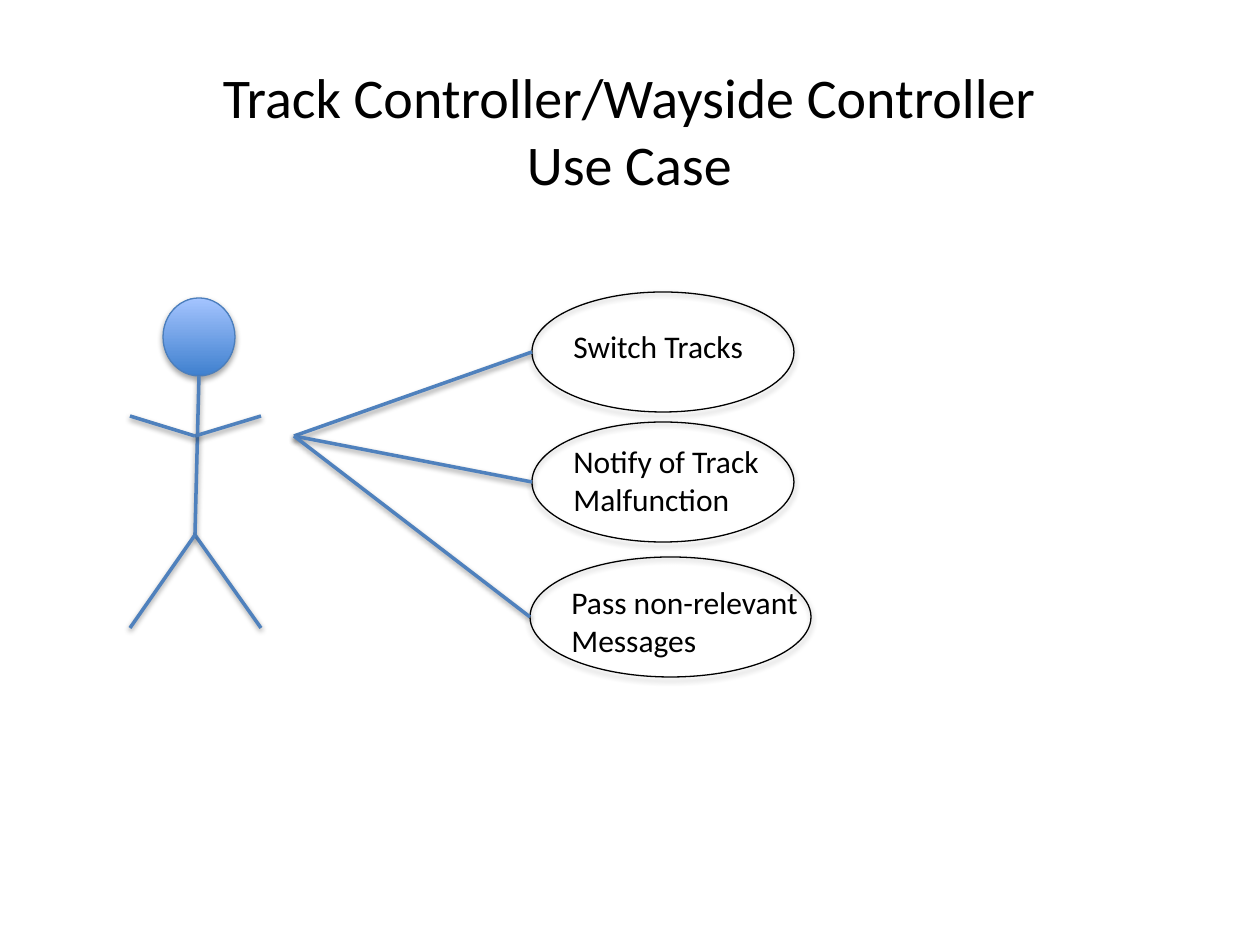
from lxml.etree import SubElement
from pptx import Presentation
from pptx.dml.color import RGBColor
from pptx.enum.shapes import MSO_CONNECTOR, MSO_SHAPE
from pptx.enum.text import MSO_ANCHOR, PP_ALIGN
from pptx.oxml.ns import qn
from pptx.util import Emu, Pt

PX_PER_INCH = 126
BLACK = "000000"
BLUE = "4F81BD"


def px(*lengths):
    return [Emu(round(length * 914400 / PX_PER_INCH)) for length in lengths]


def color(hex_string):
    return RGBColor.from_string(hex_string)


def add_shadow(shape, distance, opacity):
    effects = SubElement(shape._element.spPr, qn("a:effectLst"))
    shadow = SubElement(effects, qn("a:outerShdw"), blurRad="40000",
                        dist=str(distance), dir="5400000", rotWithShape="0")
    shadow_color = SubElement(shadow, qn("a:srgbClr"), val=BLACK)
    SubElement(shadow_color, qn("a:alpha"), val=str(opacity * 1000))


def add_line(shapes, start, end):
    line = shapes.add_connector(MSO_CONNECTOR.STRAIGHT, *px(*start, *end))
    line.line.color.rgb = color(BLUE)
    line.line.width = Pt(2)
    add_shadow(line, 20000, 38)


def add_ellipse(shapes, box, line_color):
    ellipse = shapes.add_shape(MSO_SHAPE.OVAL, *px(*box))
    ellipse.fill.background()
    ellipse.line.color.rgb = color(line_color)
    ellipse.line.width = Pt(0.75)
    add_shadow(ellipse, 23000, 35)
    return ellipse


def add_text(shapes, box, text, size, alignment=PP_ALIGN.LEFT, anchor=MSO_ANCHOR.TOP):
    text_frame = shapes.add_textbox(*px(*box)).text_frame
    text_frame.word_wrap = True
    text_frame.vertical_anchor = anchor
    paragraph = text_frame.paragraphs[0]
    paragraph.text = text
    paragraph.alignment = alignment
    for run in paragraph.runs:
        run.font.name = "Calibri"
        run.font.size = Pt(size)
        run.font.color.rgb = color(BLACK)


def add_title(shapes, box):
    add_text(shapes, box, "Track Controller/Wayside Controller\vUse Case", 32,
             PP_ALIGN.CENTER, MSO_ANCHOR.MIDDLE)


def add_actor(shapes, box):
    left, top, width, height = box
    right, bottom = left + width, top + height
    center = left + width // 2
    parts = shapes.add_group_shape().shapes
    head = add_ellipse(parts, (left + 33, top, 72, 78), "4B7EBC")
    head.fill.gradient()
    head.fill.gradient_angle = 90
    for stop, stop_color in zip(head.fill.gradient_stops, ("3F80CE", "A4C4FF")):
        stop.color.rgb = color(stop_color)
    for stop, position in zip(head.fill.gradient_stops, (0, 1)):
        stop.position = position

    neck = (left + 69, top + 78)
    shoulder = (center, top + 138)
    hip = (center, top + 237)
    add_line(parts, neck, hip)
    for side in (right, left):
        add_line(parts, shoulder, (side, top + 118))
        add_line(parts, hip, (side, bottom))


def add_use_case(shapes, box, hub, text, text_top, text_height):
    left, top, width, height = box
    add_text(shapes, (left + 29, top + text_top, 275, text_height), text, 18)
    add_ellipse(shapes, box, BLACK)
    add_line(shapes, (left, top + height // 2), hub)


def main():
    presentation = Presentation()
    presentation.slide_width, presentation.slide_height = px(1260, 945)
    slide = presentation.slides.add_slide(presentation.slide_layouts[6])
    shapes = slide.shapes

    add_title(shapes, (94, 28, 1071, 203))
    add_actor(shapes, (130, 298, 131, 330))
    hub = (294, 436)
    use_cases = [
        ((532, 292, 262, 120), "Switch Tracks", 29, 50),
        ((532, 422, 262, 120), "Notify of Track Malfunction", 14, 89),
        ((530, 557, 281, 120), "Pass non-relevant Messages", 20, 89),
    ]
    for box, text, text_top, text_height in use_cases:
        add_use_case(shapes, box, hub, text, text_top, text_height)

    presentation.save("out.pptx")


if __name__ == "__main__":
    main()
